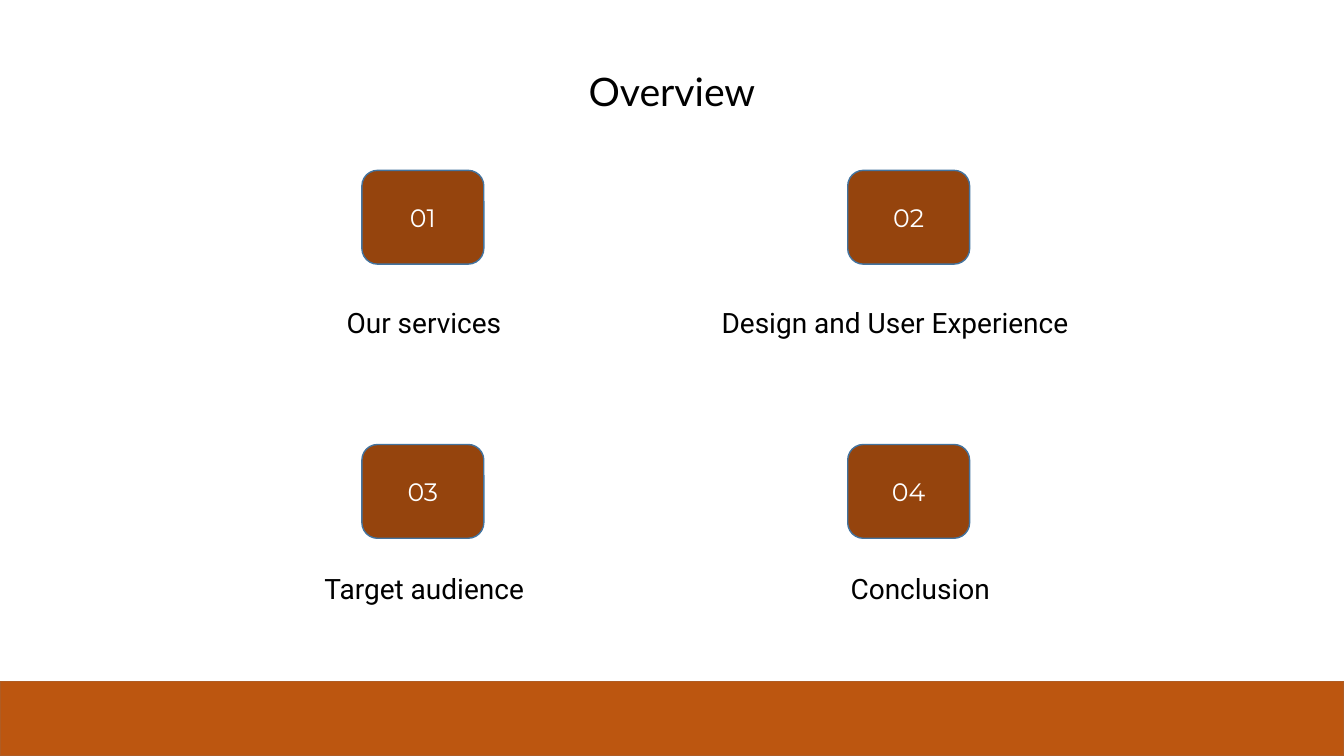
from pptx import Presentation
from pptx.dml.color import RGBColor
from pptx.enum.shapes import MSO_SHAPE
from pptx.enum.text import MSO_ANCHOR, PP_ALIGN
from pptx.util import Pt

RECTANGLE, ROUNDED = MSO_SHAPE.RECTANGLE, MSO_SHAPE.ROUNDED_RECTANGLE
TOP, MIDDLE, BOTTOM = MSO_ANCHOR.TOP, MSO_ANCHOR.MIDDLE, MSO_ANCHOR.BOTTOM
LEFT, CENTER = PP_ALIGN.LEFT, PP_ALIGN.CENTER

COLORS = {
    "text": "000000",
    "number": "FFFFFF",
    "band": "BC5610",
    "band_line": "AF5C24",
    "badge": "95440D",
    "badge_line": "43739E",
}

SLIDE_WIDTH, SLIDE_HEIGHT = 960, 540
BAND_TOP = 486.7
BADGE_WIDTH, BADGE_HEIGHT = 87.1, 67
BADGE_LEFTS = (258.5, 605.5)
BADGE_TOPS = (121.7, 317.5)
LABEL_TOPS = (214.5, 404.6)
LABEL_HEIGHT = 31.5

# Topic, label left, label width; two topics to a row
TOPICS = [
    ("Our services", 240.5, 132.5),
    ("Design and User Experience", 508.3, 282.2),
    ("Target audience", 224.6, 181.4),
    ("Conclusion", 600.5, 115.2),
]


def color(name):
    return RGBColor.from_string(COLORS[name])


def write(box, text, font, size, ink, align=LEFT, anchor=TOP):
    """Put one line of styled text in a shape and return its paragraph."""
    frame = box.text_frame
    frame.word_wrap = True
    frame.vertical_anchor = anchor
    para = frame.paragraphs[0]
    para.alignment = align
    span = para.add_run()
    span.text = text
    span.font.name = font
    span.font.size = Pt(size)
    span.font.color.rgb = color(ink)
    return para


def add_block(page, kind, left, top, width, height, fill):
    block = page.shapes.add_shape(kind, Pt(left), Pt(top), Pt(width), Pt(height))
    block.shadow.inherit = False
    block.fill.solid()
    block.fill.fore_color.rgb = color(fill)
    block.line.color.rgb = color(fill + "_line")
    block.line.width = Pt(1)
    return block


def add_title(page, text):
    box = page.shapes.add_textbox(Pt(120), Pt(33.8), Pt(720), Pt(51.8))
    para = write(box, text, "Lato", 28, "text", CENTER, BOTTOM)
    para.line_spacing = 0.9


def add_badge(page, left, top, number):
    badge = add_block(page, ROUNDED, left, top, BADGE_WIDTH, BADGE_HEIGHT, "badge")
    write(badge, f"{number:02d}", "Montserrat", 18, "number", CENTER, MIDDLE)


def add_label(page, left, top, width, text):
    box = page.shapes.add_textbox(Pt(left), Pt(top), Pt(width), Pt(LABEL_HEIGHT))
    write(box, text, "Roboto", 20, "text")


def main():
    deck = Presentation()
    deck.slide_width, deck.slide_height = Pt(SLIDE_WIDTH), Pt(SLIDE_HEIGHT)
    page = deck.slides.add_slide(deck.slide_layouts[6])

    add_block(page, RECTANGLE, 0, BAND_TOP, SLIDE_WIDTH, SLIDE_HEIGHT - BAND_TOP, "band")
    add_title(page, "Overview")
    for index, (topic, label_left, label_width) in enumerate(TOPICS):
        row, column = divmod(index, 2)
        add_badge(page, BADGE_LEFTS[column], BADGE_TOPS[row], index + 1)
        add_label(page, label_left, LABEL_TOPS[row], label_width, topic)

    deck.save("out.pptx")


if __name__ == "__main__":
    main()
